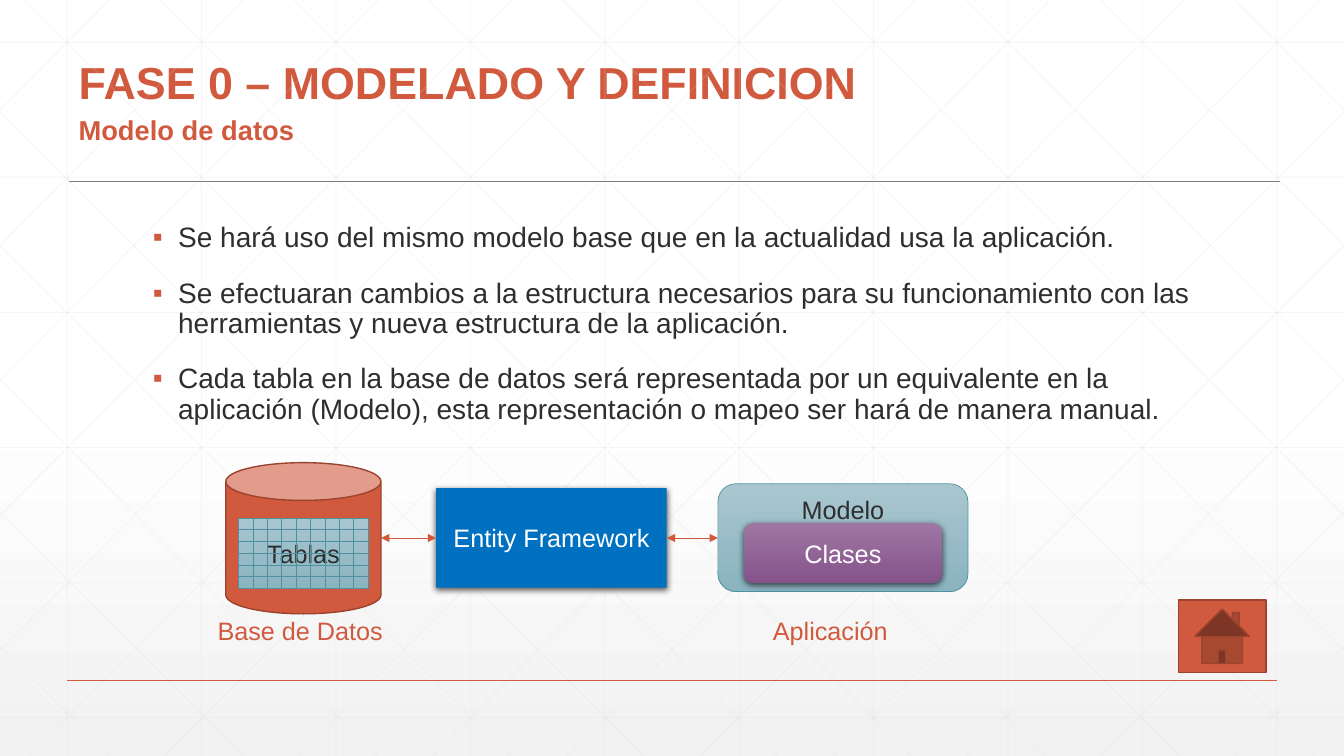
from lxml import etree
from pptx import Presentation
from pptx.dml.color import RGBColor
from pptx.enum.shapes import MSO_CONNECTOR, MSO_SHAPE
from pptx.enum.text import MSO_ANCHOR as ANCHOR, MSO_AUTO_SIZE, PP_ALIGN
from pptx.oxml import parse_xml
from pptx.oxml.ns import nsdecls, qn
from pptx.util import Pt

WIDTH, HEIGHT = 960, 540
ORANGE, RUST, TEAL, DARK = "D15A3E", "9B432E", "4F91A1", "2D2E2D"
TEAL_GRADIENT = ["A9C6CF", "8AB4C0"]


def color(hex_code):
    return RGBColor.from_string(hex_code)


def add_line(start, end, hex_code, width=0.5):
    line = slide.shapes.add_connector(
        MSO_CONNECTOR.STRAIGHT, *[Pt(value) for value in (*start, *end)])
    line.line.color.rgb = color(hex_code)
    line.line.width = Pt(width)
    etree.SubElement(line._element.spPr, qn("a:effectLst"))
    return line


presentation = Presentation()
presentation.slide_width, presentation.slide_height = Pt(WIDTH), Pt(HEIGHT)
slide = presentation.slides.add_slide(presentation.slide_layouts[5])

# Background gradient
background = slide.background.fill
background.gradient()
background.gradient_angle = 270
for stop, position, hex_code in zip(background.gradient_stops, (0.53, 1), ("FFFFFF", "F2F2F2")):
    stop.position = position
    stop.color.rgb = color(hex_code)

# Faint background lattice: verticals, horizontals, mirrored diagonals
lattice = [((48 + 96 * i, 0), (48 + 96 * i, HEIGHT)) for i in range(10)]
lattice += [((0, 30.2 + 96.5 * i), (WIDTH, 30.2 + 96.5 * i)) for i in range(6)]
diagonals = []
for i in range(10):
    x = 18 + 96 * i
    drop = min(HEIGHT, (WIDTH - x) * 1.006)
    diagonals.append(((x, 0), (x + drop / 1.006, drop)))
for i in range(5):
    y = 80 + 95.4 * i
    diagonals.append(((0, y), (HEIGHT - y, HEIGHT)))
lattice += diagonals
lattice += [((WIDTH - x1, y1), (WIDTH - x2, y2)) for (x1, y1), (x2, y2) in diagonals]
for start, end in lattice:
    line = add_line(start, end, "D9D9D9")
    etree.SubElement(line._element.spPr.find(".//" + qn("a:srgbClr")), qn("a:alpha"), val="25000")

# Rules under the title and at the foot
add_line((49, 129.6), (914.4, 129.6), "7F7F7F")
add_line((48, 486), (912, 486), ORANGE, 1)

# Title
title = slide.shapes.title
title.left, title.top, title.width, title.height = Pt(49), Pt(39.6), Pt(808.6), Pt(90)
frame = title.text_frame
frame.auto_size = MSO_AUTO_SIZE.NONE
frame.word_wrap = True
frame.vertical_anchor = ANCHOR.TOP
paragraph = frame.paragraphs[0]
paragraph.alignment = PP_ALIGN.LEFT
paragraph.line_spacing = 0.9
run = paragraph.add_run()
run.text = "FASE 0 – MODELADO Y DEFINICION"
run.font.name, run.font.size, run.font.bold = "Arial", Pt(32), True
run.font.color.rgb = color(ORANGE)

# Subtitle and diagram captions
captions = [
    ("Modelo de datos", (49, 79.9, 865.4, 40.3), 19.5, True, 0.9),
    ("Base de Datos", (148.3, 436.3, 135.4, 29), 18, False, 1),
    ("Aplicación", (545, 436.3, 116.6, 29), 18, False, 1),
]
for text, box, size, bold, spacing in captions:
    frame = slide.shapes.add_textbox(*[Pt(value) for value in box]).text_frame
    frame.word_wrap = True
    paragraph = frame.paragraphs[0]
    paragraph.line_spacing = spacing
    run = paragraph.add_run()
    run.text = text
    run.font.name, run.font.size, run.font.bold = "Arial", Pt(size), bold
    run.font.color.rgb = color(ORANGE)

# Bulleted body
points = [
    "Se hará uso del mismo modelo base que en la actualidad usa la aplicación.",
    "Se efectuaran cambios a la estructura necesarios para su funcionamiento con las "
    "herramientas y nueva estructura de la aplicación.",
    "Cada tabla en la base de datos será representada por un equivalente en la "
    "aplicación (Modelo), esta representación o mapeo ser hará de manera manual.",
]
frame = slide.shapes.add_textbox(Pt(102.2), Pt(156.2), Pt(756), Pt(160)).text_frame
frame.word_wrap = True
for i, text in enumerate(points):
    paragraph = frame.add_paragraph() if i else frame.paragraphs[0]
    paragraph.line_spacing = 0.9
    paragraph.space_before = Pt(18 if i else 0)
    properties = paragraph._p.get_or_add_pPr()
    properties.set("marL", str(Pt(18)))
    properties.set("indent", str(-Pt(18)))
    bullet_color = etree.SubElement(properties, qn("a:buClr"))
    etree.SubElement(bullet_color, qn("a:srgbClr"), val=ORANGE)
    etree.SubElement(properties, qn("a:buFont"), typeface="Arial")
    etree.SubElement(properties, qn("a:buChar"), char="▪")
    run = paragraph.add_run()
    run.text = text
    run.font.name, run.font.size = "Arial", Pt(20)
    run.font.color.rgb = color(DARK)

# Diagram shapes: kind, box, fill, outline, outline width, label, label colour, anchor
table_box = (170.6, 370, 92.2, 50.4)
shapes = [
    (MSO_SHAPE.ACTION_BUTTON_HOME, (841.7, 428.6, 62.6, 51.8), [ORANGE], RUST, 1, "", DARK, ANCHOR.MIDDLE),
    (MSO_SHAPE.CAN, (161.3, 330.5, 110.9, 108), [ORANGE], RUST, 1, "", DARK, ANCHOR.MIDDLE),
    (MSO_SHAPE.RECTANGLE, table_box, TEAL_GRADIENT, TEAL, 0.5, "Tablas", DARK, ANCHOR.MIDDLE),
    (MSO_SHAPE.ROUNDED_RECTANGLE, (512.8, 345.6, 178.6, 77), TEAL_GRADIENT, TEAL, 0.5,
     "Modelo", DARK, ANCHOR.TOP),
    (MSO_SHAPE.ROUNDED_RECTANGLE, (531.2, 373.7, 141.8, 42.7), ["9F76A3", "85538B"], None, 0,
     "Clases", "FFFFFF", ANCHOR.MIDDLE),
    (MSO_SHAPE.RECTANGLE, (311.6, 348.6, 164.7, 71.2), ["0070C0"], None, 0,
     "Entity Framework", "FFFFFF", ANCHOR.MIDDLE),
]
for kind, box, fills, outline, width, label, label_color, anchor in shapes:
    shape = slide.shapes.add_shape(kind, *[Pt(value) for value in box])
    shape.shadow.inherit = False
    if len(fills) == 1:
        shape.fill.solid()
        shape.fill.fore_color.rgb = color(fills[0])
    else:
        shape.fill.gradient()
        shape.fill.gradient_angle = 270
        for stop, position, hex_code in zip(shape.fill.gradient_stops, (0, 1), fills):
            stop.position = position
            stop.color.rgb = color(hex_code)
    if outline:
        shape.line.color.rgb = color(outline)
        shape.line.width = Pt(width)
    else:
        # Shapes without an outline cast a soft shadow
        shape.line.fill.background()
        shape._element.spPr.find(qn("a:effectLst")).append(parse_xml(
            f'<a:outerShdw {nsdecls("a")} blurRad="{Pt(4.5)}" dist="{Pt(1.5)}" dir="5400000" '
            'rotWithShape="0"><a:srgbClr val="000000"><a:alpha val="63000"/></a:srgbClr></a:outerShdw>'))
    if label:
        frame = shape.text_frame
        frame.word_wrap = True
        frame.vertical_anchor = anchor
        paragraph = frame.paragraphs[0]
        paragraph.alignment = PP_ALIGN.CENTER
        run = paragraph.add_run()
        run.text = label
        run.font.name, run.font.size = "Arial", Pt(18)
        run.font.color.rgb = color(label_color)

# Grid over the database tables: nine columns, six rows
left, top, width, height = table_box
for column in range(1, 9):
    x = left + width * column / 9
    add_line((x, top), (x, top + height), TEAL)
for row in range(1, 6):
    y = top + height * row / 6
    add_line((left, y), (left + width, y), TEAL)

# Two-way arrows between the parts
for start_x, end_x in ((272.2, 311.6), (476.3, 512.8)):
    arrow = add_line((start_x, 384.3), (end_x, 384.3), ORANGE)
    for end_tag in ("a:headEnd", "a:tailEnd"):
        etree.SubElement(arrow.line._get_or_add_ln(), qn(end_tag), type="triangle")

presentation.save("out.pptx")
